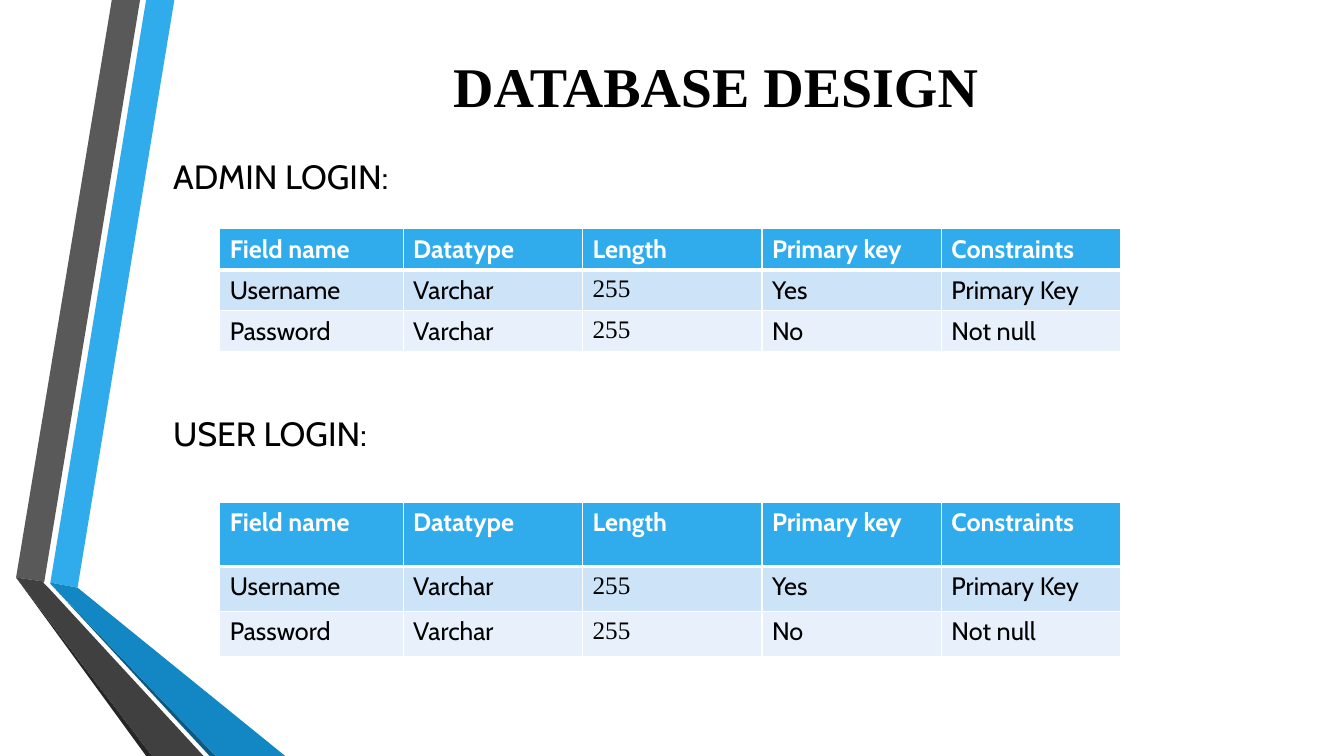
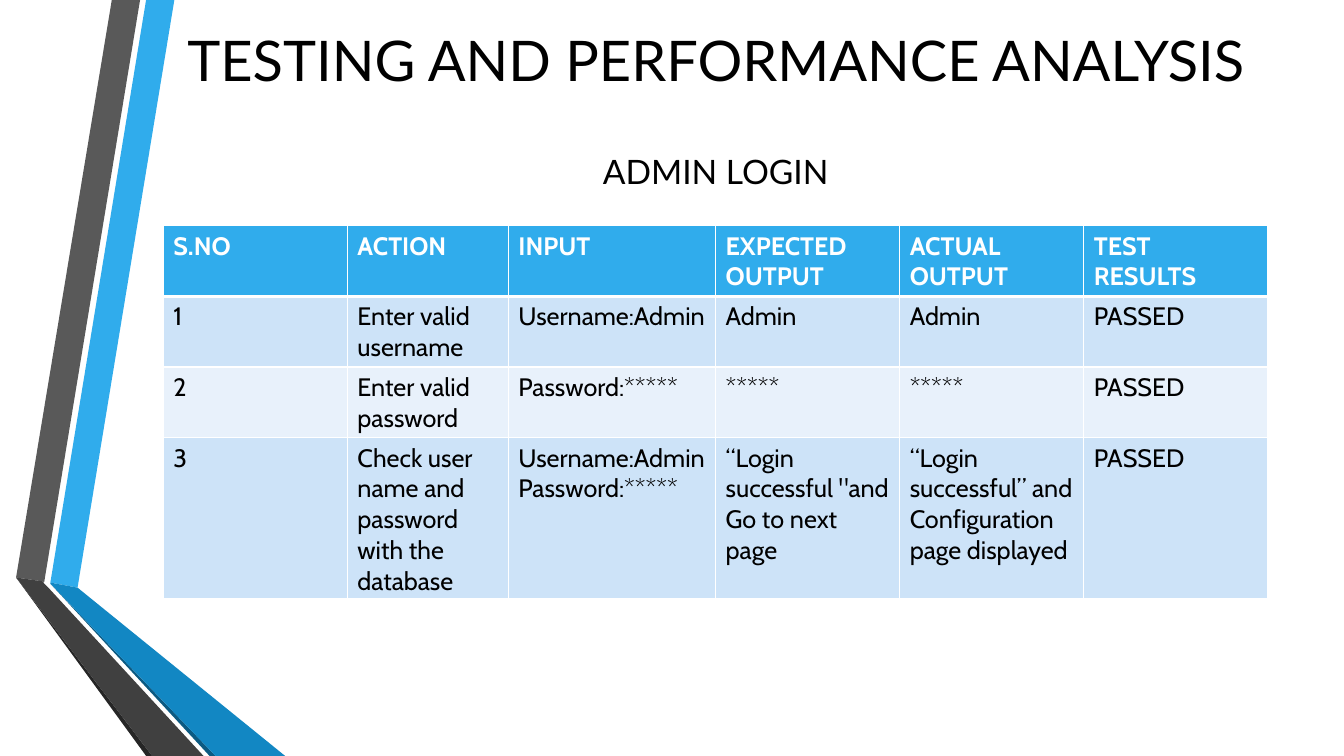
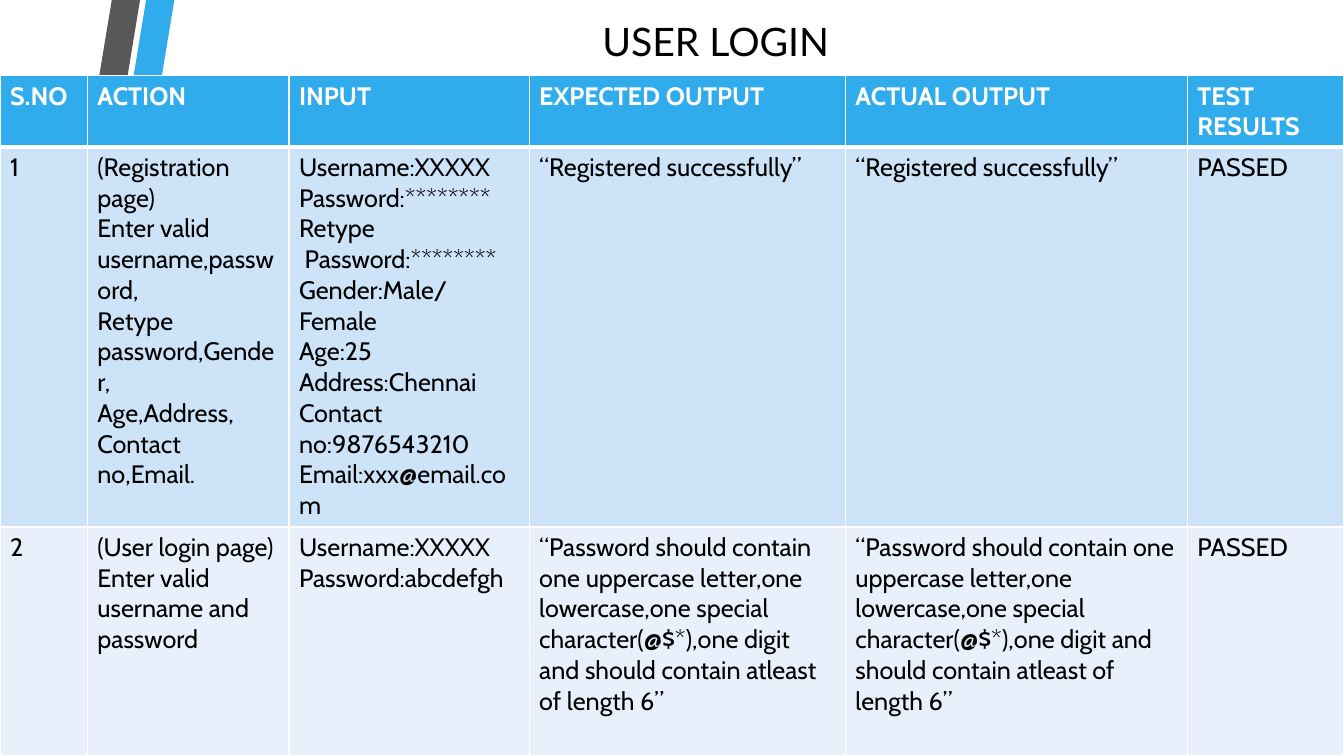
from lxml.etree import SubElement
from pptx import Presentation
from pptx.dml.color import RGBColor as Color
from pptx.enum.text import MSO_ANCHOR as Anchor, PP_ALIGN as Align
from pptx.oxml.ns import qn
from pptx.util import Emu, Pt

# Grid: 160 columns by 90 rows of square units on a 16:9 slide
COLUMNS, ROWS = 160, 90
UNIT = 76200

# Colours
BLACK = Color(0x00, 0x00, 0x00)
WHITE = Color(0xFF, 0xFF, 0xFF)
BLUE = Color(0x30, 0xAC, 0xEC)
DEEP_BLUE = Color(0x12, 0x87, 0xC3)
NAVY = Color(0x0C, 0x5A, 0x82)
GREY = Color(0x59, 0x59, 0x59)
CHARCOAL = Color(0x40, 0x40, 0x40)
DARK = Color(0x26, 0x26, 0x26)
BANDS = (Color(0xCD, 0xE3, 0xF8), Color(0xE8, 0xF1, 0xFB))

# Fonts
BODY_FONT, HEADING_FONT, SERIF_FONT = "Cabin", "Lato", "Times New Roman"

# Shared content column
CONTENT_LEFT, CONTENT_WIDTH = 19.44, 131.52

# Folded ribbons at the left edge, back to front
RIBBONS = (
    (BLUE, [(6, 69.36), (9.24, 69.96), (20.76, 0), (17.4, 0)]),
    (GREY, [(16.68, 0), (13.32, 0), (1.92, 68.76), (5.28, 69.24)]),
    (DARK, [(1.92, 68.76), (17.4, ROWS), (18.12, ROWS)]),
    (NAVY, [(6, 69.48), (24.96, ROWS), (25.68, ROWS)]),
    (DEEP_BLUE, [(6, 69.48), (25.68, ROWS), (33.96, ROWS),
                 (9.24, 69.96), (6, 69.36)]),
    (CHARCOAL, [(24.24, ROWS), (5.76, 69.96), (5.16, 69.36),
                (5.28, 69.24), (1.92, 68.76), (18.12, ROWS)]),
)

LOGIN_COLUMNS = [21.84] + [21.36] * 4
LOGIN_FIELDS = (
    ("Field name", "Datatype", "Length", "Primary key", "Constraints"),
    ("Username", "Varchar", "255", "Yes", "Primary Key"),
    ("Password", "Varchar", "255", "No", "Not null"),
)

TEST_HEADER = ("S.NO", "ACTION", "INPUT", "EXPECTED OUTPUT",
               "ACTUAL OUTPUT", "TEST RESULTS")
ADMIN_TESTS = (
    TEST_HEADER,
    ("1", "Enter valid username", "Username:Admin", "Admin", "Admin", "PASSED"),
    ("2", "Enter valid\npassword", "Password:*****", "*****", "*****", "PASSED"),
    ("3", "Check user name and password with the database",
     "Username:Admin\nPassword:*****",
     "“Login successful \"and\nGo to next page",
     "“Login successful” and\nConfiguration page displayed", "PASSED"),
)

REGISTERED = "“Registered successfully”"
PASSWORD_RULE = ("“Password should contain one uppercase letter,one lowercase,"
                 "one special character(@$*),one digit and should contain "
                 "atleast of length 6”")
USER_TESTS = (
    TEST_HEADER,
    ("1",
     "(Registration page)\nEnter valid username,password,\n"
     "Retype password,Gender,\nAge,Address,\nContact no,Email.",
     "Username:XXXXX\nPassword:********\nRetype\n Password:********\n"
     "Gender:Male/Female\nAge:25\nAddress:Chennai\n"
     "Contact no:9876543210\nEmail:xxx@email.com",
     REGISTERED, REGISTERED, "PASSED"),
    ("2", "(User login page)\nEnter valid username and\npassword",
     "Username:XXXXX\nPassword:abcdefgh",
     PASSWORD_RULE, PASSWORD_RULE, "PASSED"),
)


def units(value):
    return Emu(round(value * UNIT))


def write(frame, text, size, font, color=BLACK, bold=False, align=Align.LEFT):
    """Fill a text frame, one paragraph for each line."""
    for index, line in enumerate(text.split("\n")):
        paragraph = frame.add_paragraph() if index else frame.paragraphs[0]
        paragraph.alignment = align
        run = paragraph.add_run()
        run.text = line
        run.font.size = Pt(size)
        run.font.name = font
        run.font.bold = bold
        run.font.color.rgb = color


def add_heading(slide, box, text, size, font, bold=False, align=Align.CENTER,
                anchor=Anchor.TOP):
    frame = slide.shapes.add_textbox(*map(units, box)).text_frame
    frame.word_wrap = True
    frame.vertical_anchor = anchor
    write(frame, text, size, font, bold=bold, align=align)


def add_ribbons(slide):
    for color, outline in RIBBONS:
        start, *others = [(units(x), units(y)) for x, y in outline]
        builder = slide.shapes.build_freeform(*start)
        builder.add_line_segments(others, close=True)
        ribbon = builder.convert_to_shape()
        ribbon.shadow.inherit = False
        ribbon.fill.solid()
        ribbon.fill.fore_color.rgb = color
        ribbon.line.fill.background()


def set_borders(cell, top, bottom):
    """White cell borders; widths of top and bottom in points."""
    properties = cell._tc.get_or_add_tcPr()
    for side, width in (("L", 1), ("R", 1), ("T", top), ("B", bottom)):
        line = SubElement(properties, qn(f"a:ln{side}"), w=str(Pt(width)))
        fill = SubElement(line, qn("a:solidFill"))
        SubElement(fill, qn("a:srgbClr"), val=str(WHITE))


def add_data_table(slide, left, top, widths, heights, records,
                   serif_column=None):
    """Table with a blue header row and alternating light bands."""
    table = slide.shapes.add_table(
        len(heights), len(widths), units(left), units(top),
        units(sum(widths)), units(sum(heights))).table
    for column, width in zip(table.columns, widths):
        column.width = units(width)
    for row, height in zip(table.rows, heights):
        row.height = units(height)

    for row_index, record in enumerate(records):
        header = row_index == 0
        for column_index, text in enumerate(record):
            cell = table.cell(row_index, column_index)
            set_borders(cell, 3 if row_index == 1 else 1, 3 if header else 1)
            cell.fill.solid()
            cell.fill.fore_color.rgb = (
                BLUE if header else BANDS[(row_index - 1) % 2])
            serif = column_index == serif_column and not header
            write(cell.text_frame, text, 18,
                  SERIF_FONT if serif else BODY_FONT,
                  WHITE if header else BLACK, bold=header)


def build_database_slide(slide):
    add_heading(slide, (CONTENT_LEFT, 2.28, CONTENT_WIDTH, 15.72),
                "DATABASE DESIGN", 40, SERIF_FONT, bold=True,
                anchor=Anchor.MIDDLE)
    sections = (
        ("ADMIN LOGIN:", 18, 27.24, [4.88] * 3),
        ("USER LOGIN:", 48.6, 59.8, [7.64, 5.36, 5.36]),
    )
    for label, label_top, table_top, heights in sections:
        add_heading(slide, (CONTENT_LEFT, label_top, 80, 6), label, 24,
                    BODY_FONT, align=Align.LEFT)
        add_data_table(slide, 26.16, table_top, LOGIN_COLUMNS, heights,
                       LOGIN_FIELDS, serif_column=2)


def build_admin_tests_slide(slide):
    add_heading(slide, (CONTENT_LEFT, 0, CONTENT_WIDTH, 14.04),
                "TESTING AND PERFORMANCE ANALYSIS", 40, HEADING_FONT,
                anchor=Anchor.MIDDLE)
    add_data_table(slide, CONTENT_LEFT, 26.88,
                   [21.92, 19.16, 24.68] + [21.92] * 3,
                   [8.4, 8.4, 8.4, 19.2], ADMIN_TESTS)
    add_heading(slide, (45.2, 17.4, 80, 6), "ADMIN LOGIN", 24, HEADING_FONT)


def build_user_tests_slide(slide):
    add_heading(slide, (CONTENT_LEFT, 1.44, CONTENT_WIDTH, 8.52),
                "USER LOGIN", 28, HEADING_FONT)
    add_data_table(slide, 0, 9, [10.4, 24, 28.6, 37.65, 40.7, 18.65],
                   [8.5, 45.25, 27.25], USER_TESTS)


def main():
    presentation = Presentation()
    presentation.slide_width = units(COLUMNS)
    presentation.slide_height = units(ROWS)
    blank = presentation.slide_layouts[6]
    for build in (build_database_slide, build_admin_tests_slide,
                  build_user_tests_slide):
        slide = presentation.slides.add_slide(blank)
        add_ribbons(slide)
        build(slide)
    presentation.save("out.pptx")


if __name__ == "__main__":
    main()
